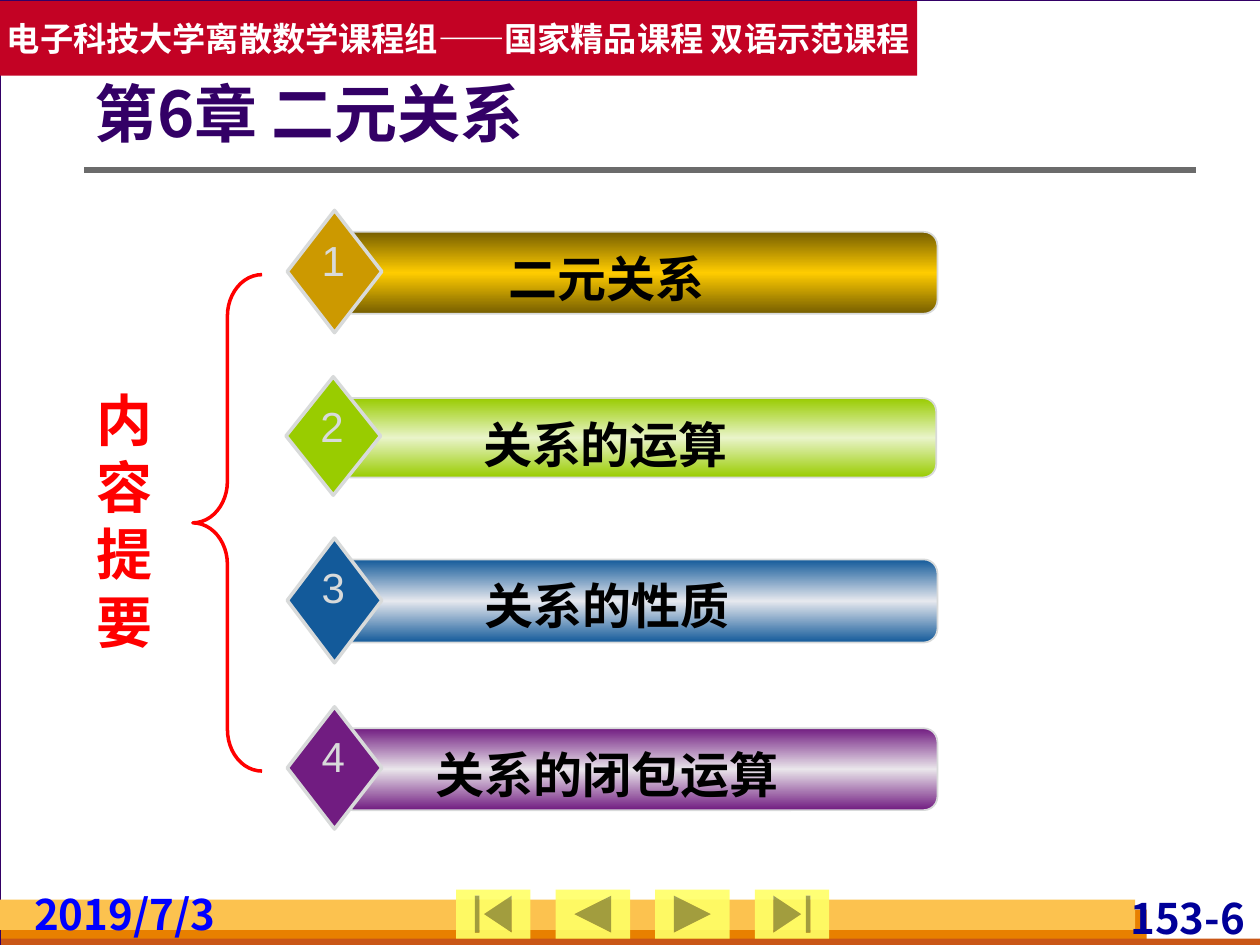
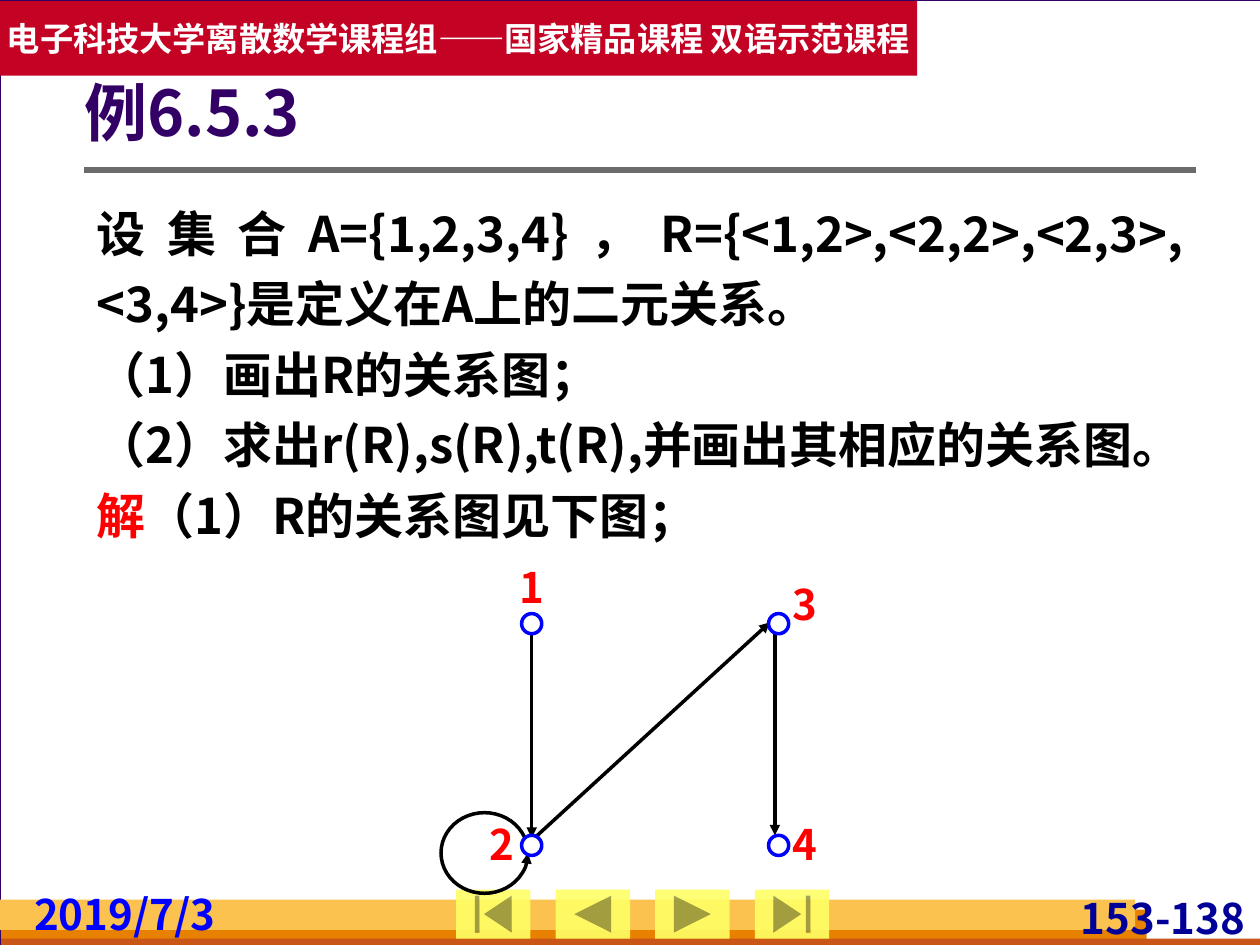
from copy import deepcopy

from lxml.etree import SubElement
from pptx import Presentation
from pptx.dml.color import RGBColor
from pptx.enum.shapes import MSO_CONNECTOR, MSO_SHAPE as Preset
from pptx.enum.text import MSO_ANCHOR as Anchor, MSO_AUTO_SIZE as AutoSize, PP_ALIGN as Align
from pptx.oxml.ns import qn
from pptx.util import Pt

PX = 9144  # 100 px to the inch
WIDTH, HEIGHT = 1000, 750

SANS, ARIAL = "Noto Sans CJK SC", "Arial"

WHITE = RGBColor(0xFF, 0xFF, 0xFF)
BLACK = RGBColor(0x00, 0x00, 0x00)
RED = RGBColor(0xFF, 0x00, 0x00)
BLUE = RGBColor(0x00, 0x00, 0xFF)
NAVY = RGBColor(0x00, 0x00, 0x99)
INDIGO = RGBColor(0x33, 0x00, 0x66)
SILVER = RGBColor(0xD8, 0xDA, 0xDA)
GREY = RGBColor(0x6B, 0x6B, 0x6B)
CRIMSON = RGBColor(0xC3, 0x02, 0x24)
ORANGE = RGBColor(0xE8, 0x80, 0x00)
RUST = RGBColor(0xC9, 0x56, 0x16)
AMBER = RGBColor(0xFC, 0xC2, 0x4F)
YELLOW = RGBColor(0xFF, 0xFF, 0x66)
BRONZE = RGBColor(0x76, 0x5E, 0x00)
GOLD = RGBColor(0xFF, 0xCC, 0x00)
OCHRE = RGBColor(0xCC, 0x99, 0x00)
LIME = RGBColor(0x99, 0xCC, 0x00)
PALE_LIME = RGBColor(0xE9, 0xF4, 0xC9)
STEEL = RGBColor(0x13, 0x5A, 0x9A)
PALE_STEEL = RGBColor(0xE6, 0xE8, 0xEE)
PURPLE = RGBColor(0x71, 0x1C, 0x81)
PALE_PURPLE = RGBColor(0xEA, 0xE6, 0xEB)

BANNER = "电子科技大学离散数学课程组——国家精品课程 双语示范课程"
BUTTONS = (
    Preset.ACTION_BUTTON_BEGINNING,
    Preset.ACTION_BUTTON_BACK_OR_PREVIOUS,
    Preset.ACTION_BUTTON_FORWARD_OR_NEXT,
    Preset.ACTION_BUTTON_END,
)

# text, left, top, diamond height, bar height, bar edge, bar middle, diamond colour
TOPICS = (
    ("二元关系", 228, 167, 97, 65, BRONZE, GOLD, OCHRE),
    ("关系的运算", 227, 299, 94, 63, LIME, PALE_LIME, LIME),
    ("关系的性质", 228, 427, 99, 66, STEEL, PALE_STEEL, STEEL),
    ("关系的闭包运算", 228, 561, 97, 65, PURPLE, PALE_PURPLE, PURPLE),
)

QUESTION = (
    "设集合A={1,2,3,4}，R={<1,2>,<2,2>,<2,3>, <3,4>}是定义在A上的二元关系。",
    "（1）画出R的关系图；",
    "（2）求出r(R),s(R),t(R),并画出其相应的关系图。",
    (("解", RED), ("（1）R的关系图见下图；", BLACK)),
)

NODE_LABELS = {"1": (406, 446), "2": (382, 650), "3": (623, 459), "4": (623, 650)}
EDGES = (
    (421, 668, 611, 494),
    (422, 496, 422, 665),
    (615, 498, 615, 663),
)


def emu(*lengths):
    return [length * PX for length in lengths]


class Painter:
    def __init__(self):
        self.deck = Presentation()
        self.deck.slide_width, self.deck.slide_height = emu(WIDTH, HEIGHT)
        self.page = None

    def new_page(self, title, title_at, number):
        """Start a slide with the shared frame, banner, footer and title."""
        self.page = self.deck.slides.add_slide(self.deck.slide_layouts[6])
        background = self.page.background.fill
        background.solid()
        background.fore_color.rgb = SILVER
        self.shape(Preset.RECTANGLE, (0, 0, 1001, 750), WHITE, INDIGO, 0.75)
        banner = self.shape(Preset.RECTANGLE, (0, 1, 728, 59), CRIMSON)
        self.set_text(banner.text_frame, [BANNER], 19, WHITE, align=Align.CENTER,
                      anchor=Anchor.MIDDLE, wrap=False)
        for place, color in (((1, 722, 909, 28), ORANGE),
                             ((1, 745, 1000, 8), RUST),
                             ((0, 714, 901, 24), AMBER)):
            self.shape(Preset.RECTANGLE, place, color)
        self.text((847, 708, 145, 40), [number], 24, NAVY, align=Align.RIGHT,
                  insets=(4, 0, 4, 0))
        self.line(67, 135, 949, 135, GREY, 3)
        for index, button in enumerate(BUTTONS):
            self.button(button, (362 + 79 * index, 706, 59, 39))
        self.text((23, 705, 165, 40), ["2019/7/3"], 24, BLUE, insets=(4, 0, 4, 0))
        self.text(title_at, [title], 36, INDIGO, spacing=0.9, anchor=Anchor.MIDDLE,
                  insets=(0, 5, 10, 5))

    def shape(self, preset, place, fill=None, line=None, weight=1):
        shape = self.page.shapes.add_shape(preset, *emu(*place))
        shape.shadow.inherit = False
        if fill is None:
            shape.fill.background()
        else:
            shape.fill.solid()
            shape.fill.fore_color.rgb = fill
        if line is None:
            shape.line.fill.background()
        else:
            shape.line.color.rgb = line
            shape.line.width = Pt(weight)
        return shape

    def button(self, preset, place):
        button = self.shape(preset, place, YELLOW)
        color = button._element.spPr.find(".//" + qn("a:srgbClr"))
        SubElement(color, qn("a:alpha"), val="90000")

    def gradient_bar(self, place, edge, middle):
        bar = self.shape(Preset.ROUNDED_RECTANGLE, place, edge, SILVER, 1)
        bar.fill.gradient()
        bar.fill.gradient_angle = 90
        stops = bar._element.spPr.find(".//" + qn("a:gsLst"))
        stops.append(deepcopy(stops[0]))
        for stop, position, color in zip(bar.fill.gradient_stops, (0, 0.5, 1),
                                         (edge, middle, edge)):
            stop.position = position
            stop.color.rgb = color

    def line(self, x1, y1, x2, y2, color, weight, arrow=False):
        line = self.page.shapes.add_connector(MSO_CONNECTOR.STRAIGHT, *emu(x1, y1, x2, y2))
        line.line.color.rgb = color
        line.line.width = Pt(weight)
        if arrow:
            self.arrowhead(line, "a:tailEnd")
        SubElement(line._element.spPr, qn("a:effectLst"))

    def arrowhead(self, shape, end):
        outline = shape._element.spPr.find(qn("a:ln"))
        SubElement(outline, qn(end), type="triangle")

    def text(self, place, lines, size, color, insets=(10, 5, 10, 5), **style):
        box = self.page.shapes.add_textbox(*emu(*place))
        frame = box.text_frame
        (frame.margin_left, frame.margin_top,
         frame.margin_right, frame.margin_bottom) = emu(*insets)
        self.set_text(frame, lines, size, color, **style)
        frame.auto_size = AutoSize.SHAPE_TO_FIT_TEXT

    def set_text(self, frame, lines, size, color, font=SANS, bold=True, align=Align.LEFT,
                 anchor=Anchor.TOP, wrap=True, spacing=None):
        """Fill a frame; a line is a string or a series of (text, colour) spans."""
        frame.word_wrap = wrap
        frame.vertical_anchor = anchor
        for index, line in enumerate(lines):
            para = frame.add_paragraph() if index else frame.paragraphs[0]
            para.alignment = align
            if spacing:
                para.line_spacing = spacing
            para.font.size = Pt(size)
            para.font.bold = bold
            para.font.name = font
            para.font.color.rgb = color
            properties = para._p.get_or_add_pPr().find(qn("a:defRPr"))
            SubElement(properties, qn("a:ea"), typeface=SANS)
            if isinstance(line, str):
                para.add_run().text = line
                continue
            for words, span_color in line:
                span = para.add_run()
                span.text = words
                span.font.color.rgb = span_color


def draw_contents(painter):
    painter.new_page("第6章 二元关系", (75, 61, 868, 64), "153-6")
    for number, topic in enumerate(TOPICS, 1):
        name, left, top, diamond_height, bar_height, edge, middle, accent = topic
        painter.gradient_bar((left + 41, top + 17, 475, bar_height), edge, middle)
        painter.shape(Preset.DIAMOND, (left, top, 75, diamond_height), accent, SILVER, 2)
        painter.text((left + 66, top + 25, 375, 57), [name], 28, BLACK, font=ARIAL,
                     align=Align.CENTER)
        painter.text((left + 17, top + 14, 39, 50), [str(number)], 24, SILVER, font=ARIAL,
                     bold=False, align=Align.CENTER, wrap=False)
    painter.text((67, 301, 63, 223), ["内容提要"], 32, RED)
    brace = painter.shape(Preset.LEFT_BRACE, (153, 218, 55, 394), line=RED, weight=2)
    brace.adjustments[0] = 0.6


def draw_example(painter):
    painter.new_page("例6.5.3", (67, 60, 882, 64), "153-138")
    painter.text((67, 147, 882, 290), QUESTION, 28, BLACK, align=Align.JUSTIFY, spacing=1.2)
    for label, (left, top) in NODE_LABELS.items():
        painter.text((left, top, 32, 40), [label], 24, RED, align=Align.CENTER,
                     insets=(0, 0, 0, 0))
    loop = painter.shape(Preset.ARC, (350, 645, 69, 64), line=BLACK, weight=2)
    for index, degrees in enumerate((0, 338)):
        loop.adjustments[index] = degrees * 0.6
    painter.arrowhead(loop, "a:headEnd")
    for edge in EDGES:
        painter.line(*edge, BLACK, 2, arrow=True)
    for top in (487, 663):
        for left in (414, 610):
            painter.shape(Preset.OVAL, (left, top, 16, 16), WHITE, BLUE, 2)


def main():
    painter = Painter()
    draw_contents(painter)
    draw_example(painter)
    painter.deck.save("out.pptx")


if __name__ == "__main__":
    main()
